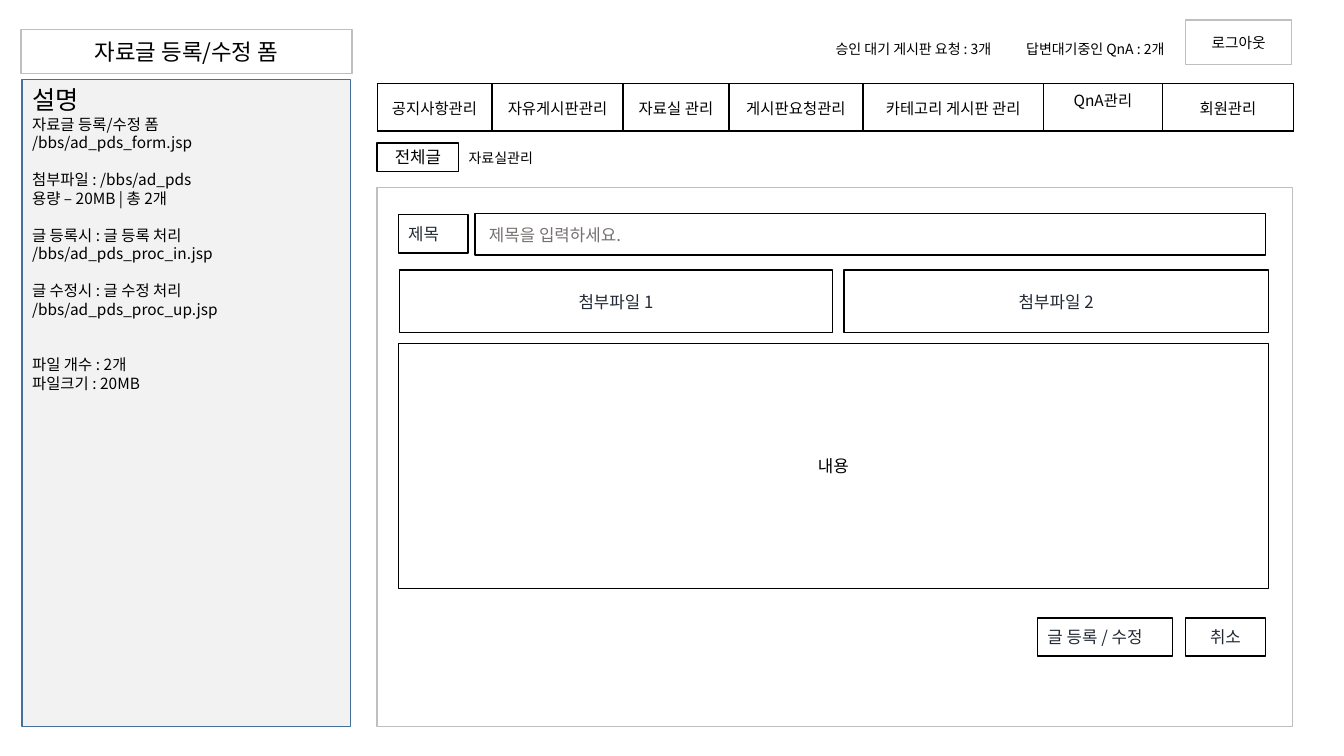
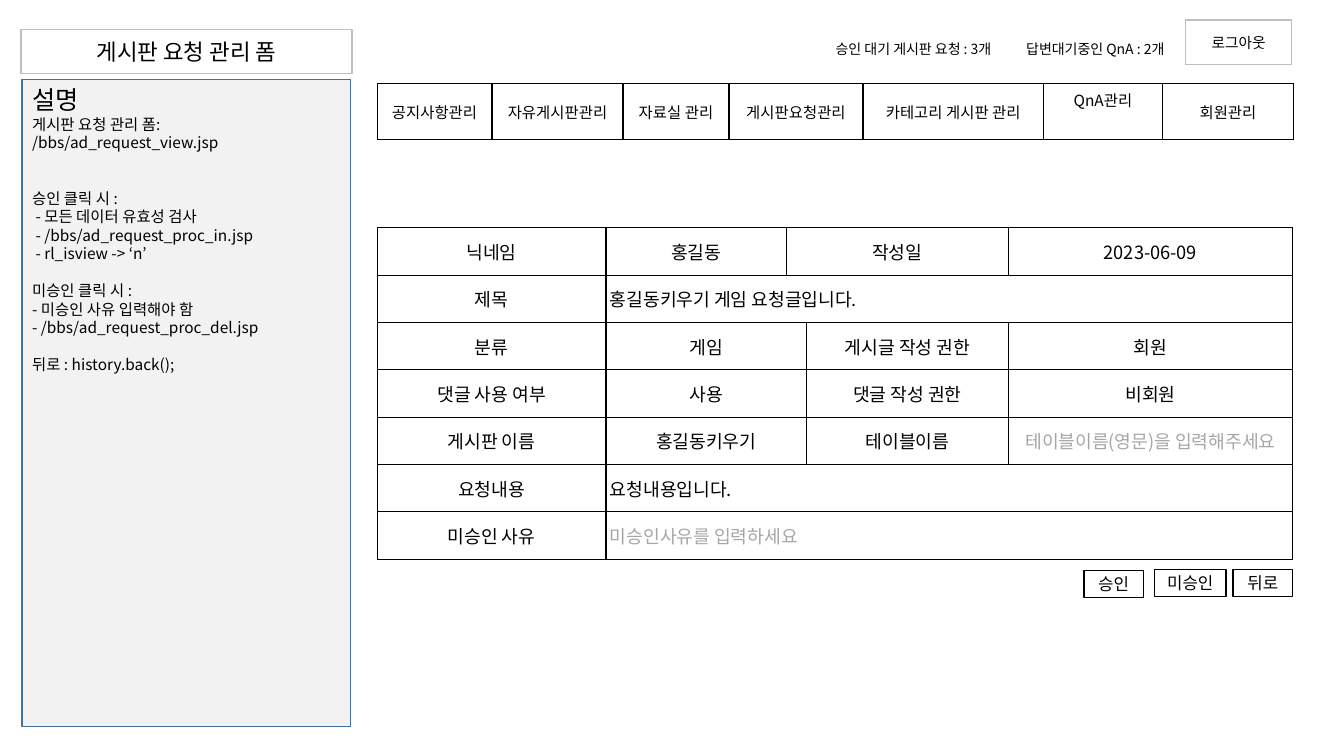
from collections.abc import Sequence
from dataclasses import dataclass

from lxml.etree import SubElement
from pptx import Presentation
from pptx.dml.color import RGBColor
from pptx.enum.shapes import MSO_SHAPE
from pptx.enum.text import MSO_ANCHOR, PP_ALIGN
from pptx.oxml.ns import qn
from pptx.shapes.autoshape import Shape
from pptx.slide import Slide
from pptx.table import Table, _Cell
from pptx.text.text import _Paragraph
from pptx.util import Inches, Pt


@dataclass(frozen=True)
class Theme:
    font: str = "Noto Sans CJK KR"
    black: str = "000000"
    white: str = "FFFFFF"
    navy: str = "222A35"
    hint: str = "767171"
    pale_hint: str = "A6A6A6"
    frame: str = "BFBFBF"
    panel: str = "F2F2F2"
    panel_edge: str = "42719B"
    title: float = 16
    heading: float = 18
    field: float = 12
    detail: float = 13
    note: float = 11
    logout: float = 10.5
    small: float = 10
    line_height: float = 1.2


THEME = Theme()


@dataclass(frozen=True)
class Box:
    text: str
    left: float
    top: float
    width: float
    height: float
    size: float = THEME.field
    color: str = THEME.black
    line: str | None = THEME.black
    fill: str | None = THEME.white
    align: PP_ALIGN = PP_ALIGN.CENTER
    inset: float = 0.1


@dataclass(frozen=True)
class Note:
    text: str
    gap: int = 0  # empty lines above


@dataclass(frozen=True)
class Entry:
    text: str
    span: int = 1
    color: str = THEME.black
    align: PP_ALIGN = PP_ALIGN.CENTER
    anchor: MSO_ANCHOR = MSO_ANCHOR.MIDDLE


@dataclass(frozen=True)
class Grid:
    left: float
    top: float
    columns: Sequence[float]
    row_height: float
    rows: Sequence[Sequence[Entry]]
    size: float
    inset_x: float
    inset_y: float


@dataclass(frozen=True)
class Screen:
    title: str
    notes: Sequence[Note]
    nav_height: float
    boxes: Sequence[Box]
    grids: Sequence[Grid] = ()


# Drawing functions
def style_text(paragraph: _Paragraph, size: float, color: str, align: PP_ALIGN) -> None:
    paragraph.alignment = align
    for run in paragraph.runs:
        run.font.size = Pt(size)
        run.font.name = THEME.font
        run.font.color.rgb = RGBColor.from_string(color)
        SubElement(run.font._element, qn("a:ea")).set("typeface", THEME.font)


def draw_box(slide: Slide, box: Box) -> Shape:
    place = [Inches(v) for v in (box.left, box.top, box.width, box.height)]
    if box.line is None:
        shape = slide.shapes.add_textbox(*place)
    else:
        shape = slide.shapes.add_shape(MSO_SHAPE.RECTANGLE, *place)
        shape.shadow.inherit = False
        shape.fill.solid()
        shape.fill.fore_color.rgb = RGBColor.from_string(box.fill)
        shape.line.color.rgb = RGBColor.from_string(box.line)
        shape.line.width = Pt(1)
    frame = shape.text_frame
    frame.word_wrap = True
    frame.vertical_anchor = MSO_ANCHOR.MIDDLE
    frame.margin_left = Inches(box.inset)
    frame.margin_top = frame.margin_bottom = 0
    frame.text = box.text
    style_text(frame.paragraphs[0], box.size, box.color, box.align)
    return shape


def draw_notes(slide: Slide, notes: Sequence[Note]) -> None:
    panel = draw_box(slide, Box("설명", 0.22, 0.79, 3.26, 6.42, THEME.heading,
                                line=THEME.panel_edge, fill=THEME.panel,
                                align=PP_ALIGN.LEFT))
    frame = panel.text_frame
    frame.vertical_anchor = MSO_ANCHOR.TOP
    frame.margin_top = Inches(0.05)
    frame.paragraphs[0].line_spacing = Pt(THEME.heading * THEME.line_height)
    leading = THEME.note * THEME.line_height
    for note in notes:
        paragraph = frame.add_paragraph()
        paragraph.text = note.text
        paragraph.line_spacing = Pt(leading)
        paragraph.space_before = Pt(leading * note.gap)
        style_text(paragraph, THEME.note, THEME.black, PP_ALIGN.LEFT)


def rule_cell(cell: _Cell) -> None:
    cell.fill.solid()
    cell.fill.fore_color.rgb = RGBColor.from_string(THEME.white)
    properties = cell._tc.get_or_add_tcPr()
    for index, side in enumerate(("lnL", "lnR", "lnT", "lnB")):
        border = SubElement(properties, qn(f"a:{side}"), w=str(Pt(1)))
        fill = SubElement(border, qn("a:solidFill"))
        SubElement(fill, qn("a:srgbClr"), val=THEME.black)
        properties.insert(index, border)


def fill_row(table: Table, row: int, entries: Sequence[Entry], grid: Grid) -> None:
    column = 0
    for entry in entries:
        cell = table.cell(row, column)
        if entry.span > 1:
            cell.merge(table.cell(row, column + entry.span - 1))
        cell.text_frame.text = entry.text
        cell.vertical_anchor = entry.anchor
        cell.margin_left = cell.margin_right = Inches(grid.inset_x)
        cell.margin_top = cell.margin_bottom = Inches(grid.inset_y)
        style_text(cell.text_frame.paragraphs[0], grid.size, entry.color, entry.align)
        column += entry.span


def draw_grid(slide: Slide, grid: Grid) -> None:
    count = len(grid.rows)
    table = slide.shapes.add_table(
        count, len(grid.columns), Inches(grid.left), Inches(grid.top),
        Inches(sum(grid.columns)), Inches(grid.row_height * count)).table
    table.first_row = table.horz_banding = False
    for column, width in zip(table.columns, grid.columns):
        column.width = Inches(width)
    for cell in table.iter_cells():
        rule_cell(cell)
    for row, entries in enumerate(grid.rows):
        table.rows[row].height = Inches(grid.row_height)
        fill_row(table, row, entries, grid)


# Parts shared by both screens
NAV_WIDTHS = (1.14, 1.3, 1.05, 1.33, 1.79, 1.18, 1.3)
NAV = (
    Entry("공지사항관리"), Entry("자유게시판관리"), Entry("자료실 관리"),
    Entry("게시판요청관리"), Entry("카테고리 게시판 관리"),
    Entry("QnA관리", anchor=MSO_ANCHOR.TOP), Entry("회원관리"),
)
HEADER = (
    Box("로그아웃", 11.76, 0.2, 1.05, 0.44, THEME.logout, line=THEME.frame),
    Box("답변대기중인 QnA : 2개", 10.08, 0.35, 1.72, 0.27, THEME.small,
        line=None, align=PP_ALIGN.LEFT),
    Box("승인 대기 게시판 요청 : 3개", 8.19, 0.35, 1.96, 0.27, THEME.small,
        line=None, align=PP_ALIGN.LEFT),
)


def draw_screen(slide: Slide, screen: Screen) -> None:
    draw_box(slide, Box(screen.title, 0.21, 0.29, 3.28, 0.44, THEME.title,
                        line=THEME.frame))
    draw_notes(slide, screen.notes)
    nav = Grid(3.74, 0.83, NAV_WIDTHS, screen.nav_height, (NAV,), THEME.note, 0.1, 0.05)
    for box in (*HEADER, *screen.boxes):
        draw_box(slide, box)
    for grid in (nav, *screen.grids):
        draw_grid(slide, grid)


# Post form
post_form = Screen(
    "자료글 등록/수정 폼",
    (
        Note("자료글 등록/수정 폼"),
        Note("/bbs/ad_pds_form.jsp"),
        Note("첨부파일 : /bbs/ad_pds", 1),
        Note("용량 – 20MB | 총 2개"),
        Note("글 등록시 : 글 등록 처리", 1),
        Note("/bbs/ad_pds_proc_in.jsp"),
        Note("글 수정시 : 글 수정 처리", 1),
        Note("/bbs/ad_pds_proc_up.jsp"),
        Note("파일 개수 : 2개", 2),
        Note("파일크기 : 20MB"),
    ),
    0.47,
    (
        Box("전체글", 3.74, 1.42, 0.81, 0.28),
        Box("자료실관리", 4.55, 1.43, 1.14, 0.27, THEME.small, line=None,
            align=PP_ALIGN.LEFT),
        Box("", 3.74, 1.86, 9.08, 5.35, line=THEME.frame),
        Box("제목", 3.95, 2.13, 0.69, 0.38, color=THEME.navy, align=PP_ALIGN.LEFT),
        Box("제목을 입력하세요.", 4.71, 2.12, 7.84, 0.41, color=THEME.hint,
            align=PP_ALIGN.LEFT, inset=0.14),
        Box("첨부파일 1", 3.96, 2.68, 4.3, 0.62, color=THEME.navy),
        Box("첨부파일 2", 8.37, 2.68, 4.21, 0.62, color=THEME.navy),
        Box("내용", 3.95, 3.41, 8.63, 2.43),
        Box("글 등록 / 수정", 10.29, 6.13, 1.34, 0.38, color=THEME.navy,
            align=PP_ALIGN.LEFT),
        Box("취소", 11.76, 6.13, 0.79, 0.38, color=THEME.navy),
    ),
)

# Board request form
request_details = (
    (Entry("닉네임"), Entry("홍길동"), Entry("작성일", 2), Entry("2023-06-09")),
    (Entry("제목"), Entry("홍길동키우기 게임 요청글입니다.", 4, align=PP_ALIGN.LEFT)),
    (Entry("분류"), Entry("게임", 2), Entry("게시글 작성 권한"), Entry("회원")),
    (Entry("댓글 사용 여부"), Entry("사용", 2), Entry("댓글 작성 권한"), Entry("비회원")),
    (Entry("게시판 이름"), Entry("홍길동키우기", 2), Entry("테이블이름"),
     Entry("테이블이름(영문)을 입력해주세요", color=THEME.pale_hint)),
    (Entry("요청내용"), Entry("요청내용입니다.", 4, align=PP_ALIGN.LEFT)),
    (Entry("미승인 사유"),
     Entry("미승인사유를 입력하세요", 4, THEME.pale_hint, PP_ALIGN.LEFT)),
)
request_form = Screen(
    "게시판 요청 관리 폼",
    (
        Note("게시판 요청 관리 폼:"),
        Note("/bbs/ad_request_view.jsp"),
        Note("승인 클릭 시 :", 2),
        Note(" - 모든 데이터 유효성 검사"),
        Note(" - /bbs/ad_request_proc_in.jsp"),
        Note(" - rl_isview -> ‘n’"),
        Note("미승인 클릭 시 :", 1),
        Note("- 미승인 사유 입력해야 함"),
        Note("- /bbs/ad_request_proc_del.jsp"),
        Note("뒤로 : history.back();", 1),
    ),
    0.55,
    (
        Box("승인", 10.75, 5.66, 0.59, 0.27),
        Box("미승인", 11.45, 5.65, 0.71, 0.27),
        Box("뒤로", 12.23, 5.65, 0.59, 0.27),
    ),
    (Grid(3.74, 2.26, (2.27, 1.79, 0.2, 2, 2.82), 0.47, request_details,
          THEME.detail, 0.04, 0.02),),
)

# Build the presentation
presentation = Presentation()
presentation.slide_width = Inches(13.33)
presentation.slide_height = Inches(7.5)
for screen in (post_form, request_form):
    draw_screen(presentation.slides.add_slide(presentation.slide_layouts[6]), screen)
presentation.save("out.pptx")
